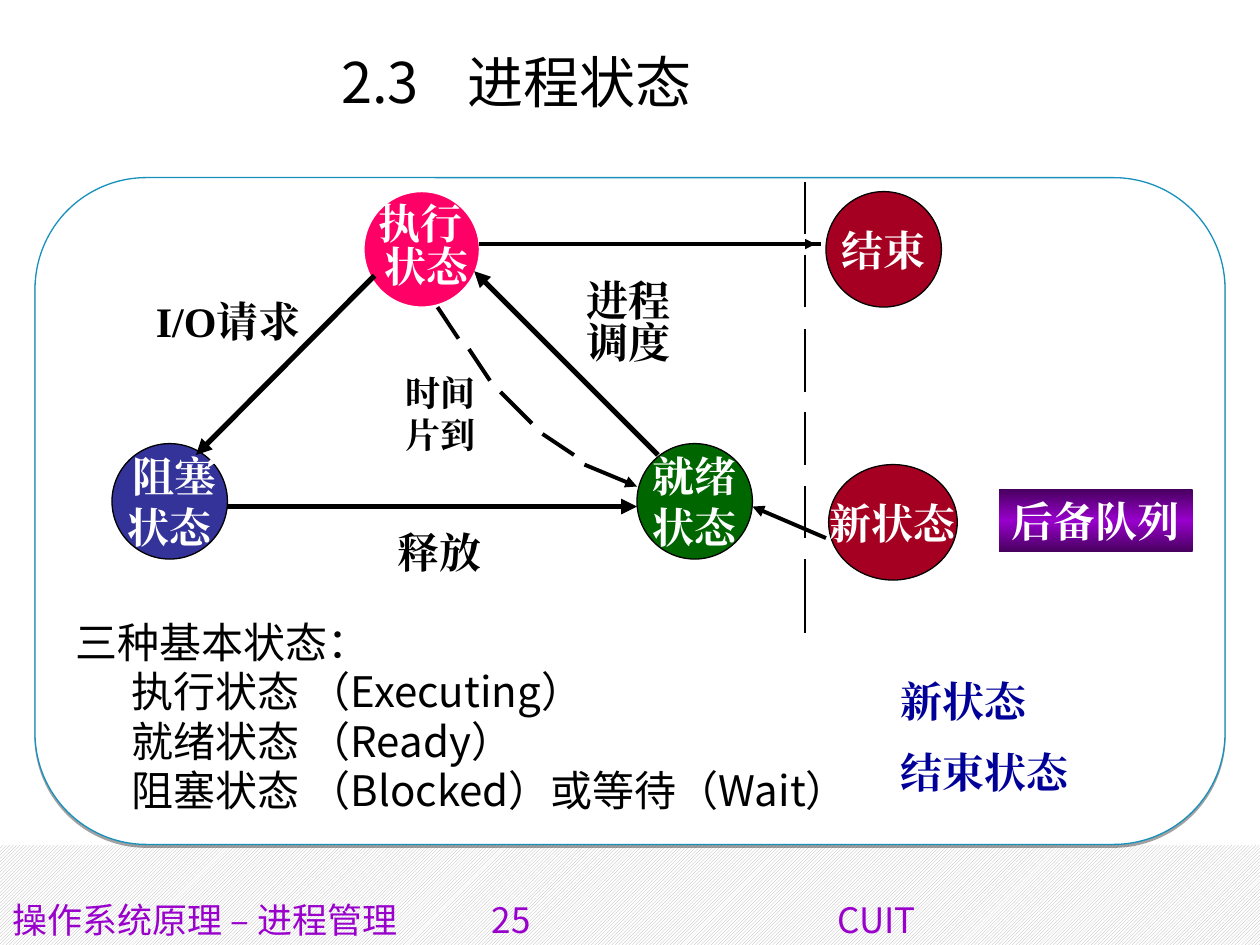
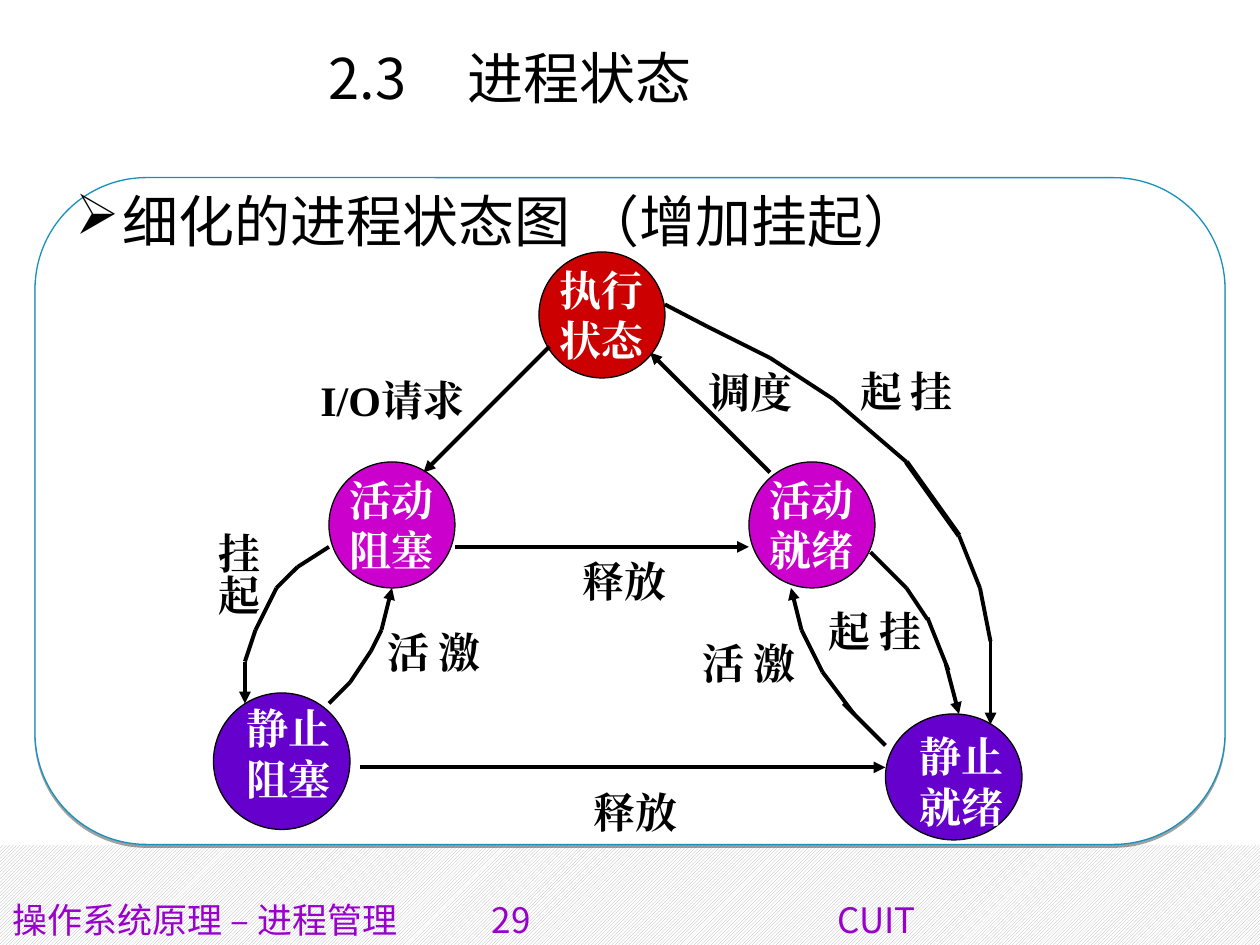
from copy import deepcopy
from itertools import pairwise

from pptx import Presentation
from pptx.dml.color import RGBColor
from pptx.enum.dml import MSO_PATTERN
from pptx.enum.shapes import MSO_CONNECTOR, MSO_SHAPE
from pptx.enum.text import MSO_ANCHOR as Anchor, PP_ALIGN as Align
from pptx.oxml import parse_xml
from pptx.oxml.ns import nsdecls, qn
from pptx.util import Pt

BLACK, WHITE = "000000", "FFFFFF"
NAVY, PURPLE, DARK_PURPLE = "000099", "9900CC", "47005E"
BLUE, GREEN, PINK, CRIMSON = "333399", "006600", "FF0066", "A50021"
RED, MAGENTA, VIOLET = "CC0000", "CC00CC", "6600CC"
GREY, PANEL_EDGE = "B2B2B2", "1790BB"

SERIF, SANS, SANS_SC = "Times New Roman", "Noto Sans CJK KR", "Noto Sans CJK SC"
TITLE = {"name": SANS, "size": Pt(32)}
BODY = {"name": SANS, "size": Pt(24)}
HEADLINE = {"name": SANS, "size": Pt(32)}
LABEL = {"name": SERIF, "size": Pt(24), "bold": True}
SMALL_LABEL = {"name": SERIF, "size": Pt(20), "bold": True}
FOOTER = {"name": SANS, "size": Pt(20)}

FOOTER_PARTS = "操作系统原理 – 进程管理", "CUIT"
FOOTER_TABS = 274, 471.5
WORD_WIDTH, WORD_HEIGHT = 63, 36

BASIC = {
    "title": " 2.3\t 进程状态",
    "title_spacing": 1.05,
    "number": "25",
    "nodes": [
        (64, 253.5, 66, 66, BLUE, BLACK, [" 阻塞", "状态"]),
        (364, 253.5, 66, 66, GREEN, BLACK, ["就绪", "状态"]),
        (208, 109.5, 66, 66, PINK, WHITE, []),
        (473.5, 265.5, 73.5, 66, CRIMSON, BLACK, ["新状态"]),
        (472, 109.5, 66, 66, CRIMSON, BLACK, ["结束"]),
    ],
    "routes": [
        (3, True, [(376, 260), (271, 155)]),
        (3, True, [(214, 157.5), (112, 260)]),
        (3, True, [(130, 289.5), (364, 289.5)]),
        (2.25, False, [(250, 175.5), (262, 193.5)]),
        (2.25, False, [(268, 199.5), (280, 217.5)]),
        (2.25, False, [(286, 224), (304, 242)]),
        (2.25, False, [(310, 248), (328, 260)]),
        (2.25, True, [(334, 265.5), (364, 278)]),
        (2.25, False, [(274, 139.5), (469, 139.5)]),
        (0.75, True, [(436, 139.5), (466, 139.5)]),
        (2.25, True, [(472, 307.5), (430, 289.5)]),
    ],
    "labels": [
        (["执行"], 209.5, 109.5, 69, WORD_HEIGHT, WHITE, LABEL),
        (["状态"], 212.5, 134, 68, WORD_HEIGHT, WHITE, LABEL),
        (["进程"], 328, 153.5, WORD_WIDTH, WORD_HEIGHT, BLACK, LABEL),
        (["调度"], 328, 177.5, WORD_WIDTH, WORD_HEIGHT, BLACK, LABEL),
        (["I/O请求"], 82, 165.5, 97, WORD_HEIGHT, BLACK, LABEL),
        (["释放"], 220, 297.5, WORD_WIDTH, WORD_HEIGHT, BLACK, LABEL),
        (["时间", "片到"], 224.5, 209, 55, 55.5, BLACK, SMALL_LABEL),
    ],
    "vertical_labels": [],
}
BASIC_STATES = [
    "三种基本状态：",
    "执行状态 （Executing）",
    "就绪状态 （Ready）",
    "阻塞状态 （Blocked）或等待（Wait）",
]
EXTRA_STATES = ["新状态", "结束状态"]
RESERVE_QUEUE = "后备队列"
BOUNDARY_X = 460
BOUNDARY_DASHES = [(104, 134), (145.5, 175.5), (188, 224),
                   (235.5, 265.5), (278, 307.5), (319.5, 361.5)]

DETAILED = {
    "title": "2.3\t 进程状态",
    "title_spacing": 1.0,
    "number": "29",
    "nodes": [
        (188, 264, 72, 72, MAGENTA, BLACK, ["活动", "阻塞"]),
        (308, 144, 72, 72, RED, BLACK, ["执行", "状态"]),
        (428, 264, 72, 72, MAGENTA, BLACK, ["活动", "就绪"]),
        (122, 396, 78, 78, VIOLET, BLACK, []),
        (506, 408, 78, 72, VIOLET, BLACK, []),
    ],
    "routes": [
        (2.25, True, [(440, 270), (371.5, 201.5)]),
        (2.25, True, [(260, 312.5), (428, 312.5)]),
        (2.25, True, [(314, 198), (242, 270)]),
        (2.25, True, [(206, 438.5), (506, 438.5)]),
        (2.25, True, [(188, 312.5), (170, 324), (158, 336), (146, 360),
                      (140, 378), (140, 402)]),
        (2.25, True, [(188, 402), (200, 390), (212, 372), (218, 360), (224, 336)]),
        (2.25, False, [(506, 426), (482, 402)]),
        (2.25, True, [(488, 408), (470, 384), (458, 360), (452, 336)]),
        (2.25, False, [(497.5, 315.5), (518, 336), (530, 354)]),
        (2.25, False, [(530, 353), (542, 383)]),
        (2.25, True, [(540.5, 379.5), (548, 408)]),
        (2.25, False, [(380, 174), (404, 186.5), (440, 204.5), (476, 228), (518, 264)]),
        (3, False, [(518, 264), (548, 306)]),
        (2.25, True, [(548, 306), (560, 336), (566, 366.5), (566, 414)]),
    ],
    "labels": [
        (["静止", "就绪"], 518.5, 414, 66, 65.5, WHITE, LABEL),
        (["静止", "阻塞"], 134, 398, WORD_WIDTH, 65.5, WHITE, LABEL),
        (["调度"], 398, 206, WORD_WIDTH, WORD_HEIGHT, BLACK, LABEL),
        (["释放"], 326, 314, WORD_WIDTH, WORD_HEIGHT, BLACK, LABEL),
        (["I/O请求"], 176, 210.5, 102, WORD_HEIGHT, BLACK, LABEL),
        (["释放"], 332, 446, WORD_WIDTH, WORD_HEIGHT, BLACK, LABEL),
    ],
    "vertical_labels": [
        ("激活", 415.5, 360, 55.5),
        ("激活", 235.5, 354, 55.5),
        ("挂起", 487.5, 342, 55.5),
        ("挂起", 110, 297.5, 76.5),
        ("挂起", 505.5, 204.5, 55.5),
    ],
}
DETAILED_HEADLINE = "细化的进程状态图 （增加挂起）"


def rgb(color):
    return RGBColor.from_string(color)


def points(*lengths):
    return [Pt(length) for length in lengths]


def set_all(target, **values):
    for name, value in values.items():
        setattr(target, name, value)


def add_run(paragraph, text, format_values, color):
    run = paragraph.add_run()
    run.text = text
    set_all(run.font, **format_values)
    run.font.color.rgb = rgb(color)
    east_asian = parse_xml(f'<a:ea {nsdecls("a")} typeface="{format_values["name"]}"/>')
    run.font._element.append(east_asian)


def write_lines(frame, lines, format_values, color, **paragraph_values):
    for index, line in enumerate(lines):
        paragraph = frame.paragraphs[0] if index == 0 else frame.add_paragraph()
        values = dict(paragraph_values)
        if index == 0:
            values.pop("space_before", None)
        set_all(paragraph, **values)
        add_run(paragraph, line, format_values, color)


def add_text(slide, box, lines, format_values, color=BLACK, **paragraph_values):
    frame = slide.shapes.add_textbox(*points(*box)).text_frame
    frame.word_wrap = True
    write_lines(frame, lines, format_values, color, **paragraph_values)
    return frame


def add_plain_shape(slide, kind, box, fill=None, line=None):
    shape = slide.shapes.add_shape(kind, *points(*box))
    shape.shadow.inherit = False
    if fill:
        shape.fill.solid()
        shape.fill.fore_color.rgb = rgb(fill)
    if line:
        shape.line.color.rgb = rgb(line)
        shape.line.width = Pt(0.75)
    else:
        shape.line.fill.background()
    return shape


def add_node(slide, left, top, width, height, fill, line, lines):
    shape = add_plain_shape(slide, MSO_SHAPE.OVAL, (left, top, width, height), fill, line)
    set_all(shape.text_frame, word_wrap=False, vertical_anchor=Anchor.MIDDLE)
    write_lines(shape.text_frame, lines, LABEL, WHITE, alignment=Align.CENTER)


def add_route(slide, width, arrow, stops):
    for start, end in pairwise(stops):
        connector = slide.shapes.add_connector(
            MSO_CONNECTOR.STRAIGHT, *points(*start, *end))
        connector.line.color.rgb = rgb(BLACK)
        connector.line.width = Pt(width)
        connector._element.spPr.append(parse_xml(f'<a:effectLst {nsdecls("a")}/>'))
    if arrow:
        connector.line._get_or_add_ln().append(
            parse_xml(f'<a:tailEnd {nsdecls("a")} type="triangle"/>'))


def set_margins(paragraph, left, indent):
    properties = paragraph._p.get_or_add_pPr()
    properties.set("marL", str(Pt(left)))
    properties.set("indent", str(Pt(indent)))
    return properties


def add_footer(slide, number):
    name, school = FOOTER_PARTS
    frame = slide.shapes.add_textbox(*points(0, 511, 720, 29)).text_frame
    set_all(frame, word_wrap=True, vertical_anchor=Anchor.MIDDLE)
    paragraph = frame.paragraphs[0]
    tabs = "".join(f'<a:tab pos="{Pt(stop)}" algn="l"/>' for stop in FOOTER_TABS)
    paragraph._p.get_or_add_pPr().append(
        parse_xml(f'<a:tabLst {nsdecls("a")}>{tabs}</a:tabLst>'))
    add_run(paragraph, name, {**FOOTER, "name": SANS_SC}, PURPLE)
    add_run(paragraph, f"\t{number}\t{school}", FOOTER, PURPLE)


def add_base(presentation, content):
    slide = presentation.slides.add_slide(presentation.slide_layouts[6])
    band = add_plain_shape(slide, MSO_SHAPE.RECTANGLE, (0, 483, 720, 57))
    band.fill.patterned()
    band.fill.pattern = MSO_PATTERN.DARK_UPWARD_DIAGONAL
    band.fill.fore_color.rgb = rgb(GREY)
    band.fill.back_color.rgb = rgb(WHITE)
    panel = add_plain_shape(slide, MSO_SHAPE.ROUNDED_RECTANGLE,
                            (20, 101.5, 680, 381), WHITE, PANEL_EDGE)
    panel.adjustments[0] = 0.167
    panel._element.spPr.find(qn("a:effectLst")).append(parse_xml(
        f'<a:outerShdw {nsdecls("a")} blurRad="0" dist="{Pt(1.6)}" dir="5400000">'
        f'<a:srgbClr val="{BLACK}"><a:alpha val="37000"/></a:srgbClr></a:outerShdw>'))
    add_footer(slide, content["number"])
    add_text(slide, (36, 21.5, 511, 90), [content["title"]], TITLE,
             alignment=Align.CENTER, line_spacing=content["title_spacing"])
    return slide


def add_diagram(slide, content):
    for node in content["nodes"]:
        add_node(slide, *node)
    for route in content["routes"]:
        add_route(slide, *route)
    for lines, left, top, width, height, color, format_values in content["labels"]:
        add_text(slide, (left, top, width, height), lines, format_values, color)
    for text, left, top, height in content["vertical_labels"]:
        frame = add_text(slide, (left, top, 44, height), [text], LABEL)
        frame._txBody.bodyPr.set("vert", "eaVert")


def add_reserve_queue(slide):
    shape = add_plain_shape(slide, MSO_SHAPE.RECTANGLE, (571, 279.5, 110.5, 36))
    shape.fill.gradient()
    shape.fill.gradient_angle = 270
    stop_list = shape._element.spPr.find(".//" + qn("a:gsLst"))
    stop_list.insert(1, deepcopy(stop_list[0]))
    colors = DARK_PURPLE, PURPLE, DARK_PURPLE
    for index, (stop, color) in enumerate(zip(shape.fill.gradient_stops, colors)):
        stop.position = index / 2
        stop.color.rgb = rgb(color)
    set_all(shape.text_frame, word_wrap=False, vertical_anchor=Anchor.TOP)
    write_lines(shape.text_frame, [RESERVE_QUEUE], LABEL, WHITE, alignment=Align.LEFT)


def build_basic(presentation):
    slide = add_base(presentation, BASIC)
    frame = add_text(slide, (36, 352, 648, 130), BASIC_STATES, BODY,
                     line_spacing=0.9, space_before=Pt(2.3))
    for paragraph in frame.paragraphs[1:]:
        set_margins(paragraph, 32, 0)
    for top, bottom in BOUNDARY_DASHES:
        add_route(slide, 0.75, False, [(BOUNDARY_X, top), (BOUNDARY_X, bottom)])
    add_reserve_queue(slide)
    add_text(slide, (507.5, 382.5, 118, 79), EXTRA_STATES, LABEL, NAVY,
             space_before=Pt(12))
    add_diagram(slide, BASIC)


def build_detailed(presentation):
    slide = add_base(presentation, DETAILED)
    frame = add_text(slide, (36, 107.5, 648, 374), [DETAILED_HEADLINE], HEADLINE,
                     line_spacing=0.9)
    set_margins(frame.paragraphs[0], 27, -27).append(
        parse_xml(f'<a:buChar {nsdecls("a")} char="➢"/>'))
    add_diagram(slide, DETAILED)


def main():
    presentation = Presentation()
    set_all(presentation, slide_width=Pt(720), slide_height=Pt(540))
    build_basic(presentation)
    build_detailed(presentation)
    presentation.save("out.pptx")


if __name__ == "__main__":
    main()
